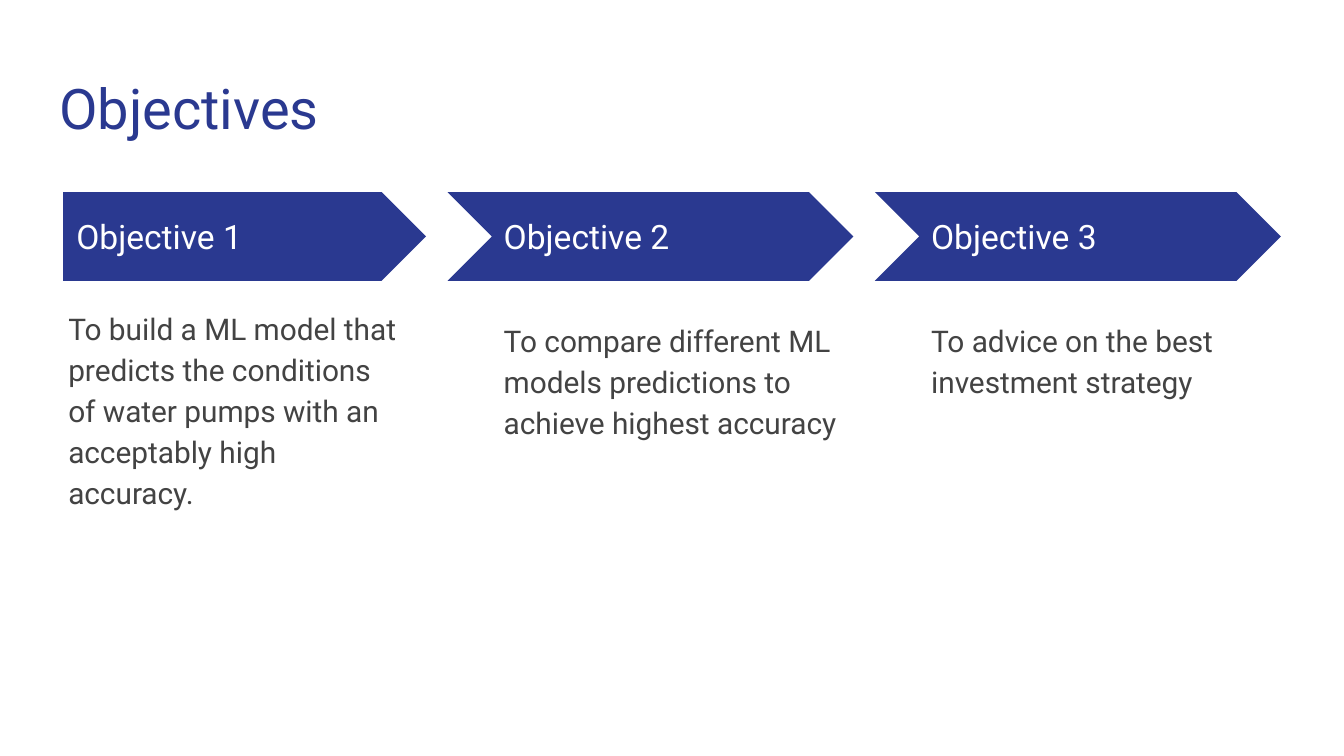
from pptx import Presentation
from pptx.dml.color import RGBColor
from pptx.enum.shapes import MSO_SHAPE as Shape
from pptx.enum.text import MSO_ANCHOR as Anchor, MSO_AUTO_SIZE as AutoSize, PP_ALIGN as Align
from pptx.util import Inches, Pt

NAVY = RGBColor(0x2A, 0x39, 0x90)
WHITE = RGBColor(0xFF, 0xFF, 0xFF)
GREY = RGBColor(0x43, 0x43, 0x43)

# Grid: three columns, in inches
LEFT, PITCH, COLUMN = 0.47, 3.18, 2.7
NOTCH = 0.32  # how far a chevron reaches back into the gap
ARROW_TOP, ARROW_HEIGHT = 1.43, 0.66

# Arrow shape, heading, description, description's left shift and top
OBJECTIVES = [
    (Shape.PENTAGON, "Objective 1",
     "To build a ML model that predicts the conditions of water pumps "
     "with an acceptably high accuracy.", -0.06, 2.17),
    (Shape.CHEVRON, "Objective 2",
     "To compare different ML models predictions to achieve highest accuracy", 0, 2.26),
    (Shape.CHEVRON, "Objective 3",
     "To advice on the best investment strategy", 0, 2.26),
]


def place(shape, left, top, width, height):
    shape.left, shape.top = Inches(left), Inches(top)
    shape.width, shape.height = Inches(width), Inches(height)


def write(shape, text, size, color, anchor=Anchor.TOP):
    frame = shape.text_frame
    frame.word_wrap = True
    frame.auto_size = AutoSize.NONE
    frame.vertical_anchor = anchor
    frame.margin_left = frame.margin_right = Inches(0.1)
    frame.margin_top = frame.margin_bottom = Inches(0.1)
    paragraph = frame.paragraphs[0]
    paragraph.text = text
    paragraph.alignment = Align.LEFT
    paragraph.font.name = "Roboto"
    paragraph.font.size = Pt(size)
    paragraph.font.color.rgb = color
    return paragraph


# Slide in 16:9
presentation = Presentation()
presentation.slide_width = Inches(10)
presentation.slide_height = presentation.slide_width * 9 // 16
slide = presentation.slides.add_slide(presentation.slide_layouts.get_by_name("Title Only"))
shapes = slide.shapes

# Title
place(shapes.title, 0.34, 0.45, 9.32, 0.66)
write(shapes.title, "Objectives", 30, NAVY)

# One arrow, heading and description per column
for column, (kind, heading, description, shift, top) in enumerate(OBJECTIVES):
    left = LEFT + column * PITCH
    notch = NOTCH if kind == Shape.CHEVRON else 0

    arrow = shapes.add_shape(kind, Inches(left - notch), Inches(ARROW_TOP),
                             Inches(COLUMN + notch), Inches(ARROW_HEIGHT))
    arrow.shadow.inherit = False
    arrow.fill.solid()
    arrow.fill.fore_color.rgb = NAVY
    arrow.line.fill.background()

    label = shapes.add_textbox(0, 0, 0, 0)
    place(label, left, 1.59, 2.47, 0.34)
    write(label, heading, 18, WHITE, Anchor.MIDDLE)

    body = shapes.add_textbox(0, 0, 0, 0)
    place(body, left + shift, top, COLUMN, 2.9)
    paragraph = write(body, description, 16, GREY)
    paragraph.line_spacing = 1.15
    paragraph.space_after = Pt(8)

presentation.save("out.pptx")
